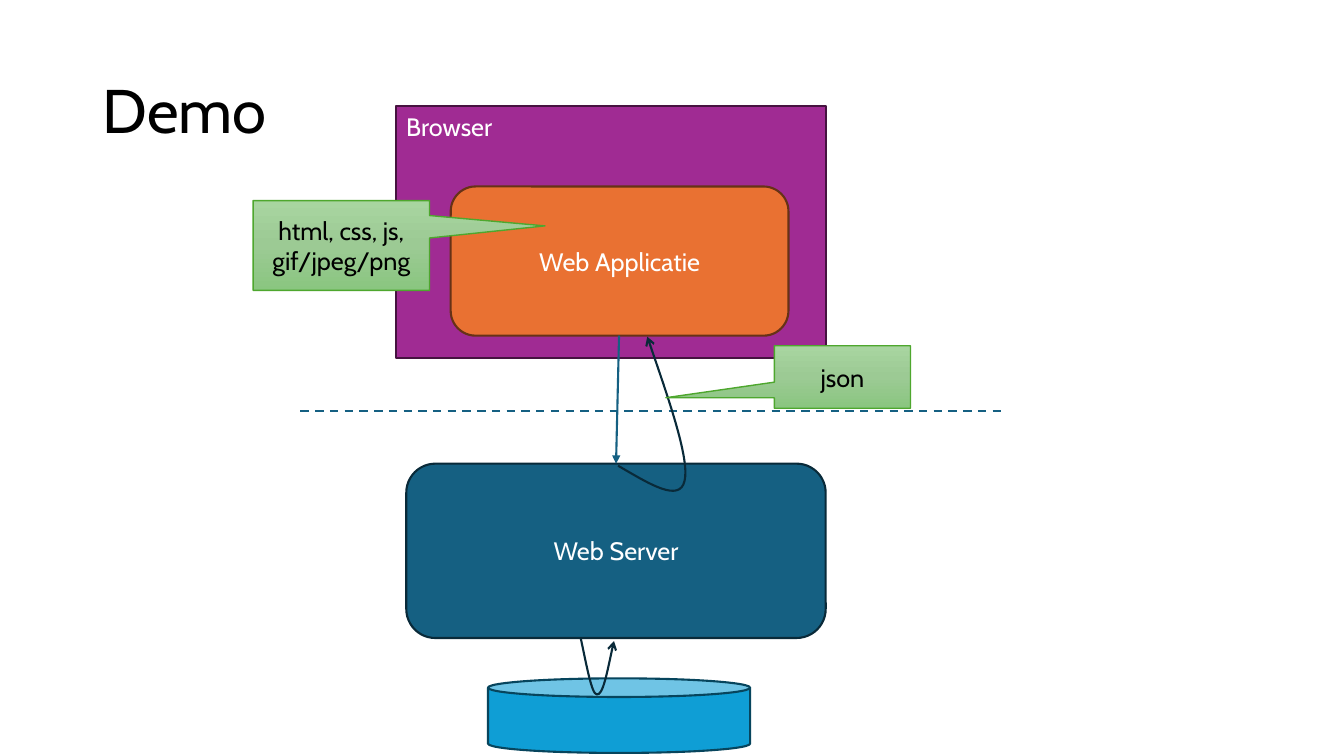
from copy import deepcopy
from dataclasses import dataclass

from lxml.etree import SubElement
from pptx import Presentation
from pptx.dml.color import RGBColor
from pptx.enum.dml import MSO_LINE
from pptx.enum.shapes import MSO_CONNECTOR, MSO_SHAPE as SHAPE
from pptx.enum.text import MSO_ANCHOR as ANCHOR, PP_ALIGN as ALIGN
from pptx.oxml.ns import qn
from pptx.util import Inches, Pt

FONT = "Cabin"
WHITE, BLACK = "FFFFFF", "000000"
TEAL, DARK_TEAL, GREEN = "156082", "092A39", "4EA72E"
CALLOUT_STOPS = [(0, "A8D5A0"), (0.5, "9CCA94"), (1, "8AC680")]

Point = tuple[float, float]
Box = tuple[float, float, float, float]


@dataclass
class Node:
    kind: SHAPE
    box: Box
    fill: str
    outline: str
    text: str = ""


@dataclass
class Callout:
    box: Box
    tip: Point
    text: str


@dataclass
class Link:
    start: Point
    end: Point
    dash: bool = False
    head: str = ""


NODES = [
    Node(SHAPE.RECTANGLE, (3.93, 1.05, 4.26, 2.5), "A02B93", "461340"),
    Node(SHAPE.ROUNDED_RECTANGLE, (4.47, 1.85, 3.35, 1.48), "E97132", "663216", "Web Applicatie"),
    Node(SHAPE.ROUNDED_RECTANGLE, (4.03, 4.6, 4.16, 1.73), TEAL, DARK_TEAL, "Web Server"),
    Node(SHAPE.CAN, (4.84, 6.73, 2.6, 0.74), "0F9ED5", "07455D"),
]
LINKS = [
    Link((2.98, 4.08), (9.99, 4.08), dash=True),
    Link((6.14, 3.33), (6.11, 4.6), head="triangle"),
]
# Each curve: a start point, then three Bézier points per segment
CURVES = [
    [(6.13, 4.62), (6.44, 4.8), (6.74, 4.99), (6.79, 4.77),
     (6.84, 4.56), (6.63, 3.95), (6.42, 3.34)],
    [(5.76, 6.33), (5.82, 6.61), (5.87, 6.89), (5.92, 6.89),
     (5.98, 6.9), (6.03, 6.63), (6.09, 6.36)],
]
CALLOUTS = [
    Callout((2.51, 1.99, 1.75, 0.89), (1.155, -0.218), "html, css, js, gif/jpeg/png"),
    Callout((7.68, 3.43, 1.35, 0.62), (-1.297, 0.332), "json"),
]


def rgb(color: str) -> RGBColor:
    return RGBColor.from_string(color)


def set_line(line, color: str, width: float = 1.5) -> None:
    line.color.rgb = rgb(color)
    line.width = Pt(width)


def add_head(line, kind: str) -> None:
    SubElement(line._get_or_add_ln(), qn("a:tailEnd"), type=kind)


def write(shape, text: str, color: str, size: float = 18,
          align=ALIGN.CENTER, anchor=ANCHOR.MIDDLE, wrap: bool = True):
    frame = shape.text_frame
    frame.word_wrap = wrap
    frame.vertical_anchor = anchor
    frame.text = text
    paragraph = frame.paragraphs[0]
    paragraph.alignment = align
    paragraph.font.name = FONT
    paragraph.font.size = Pt(size)
    paragraph.font.color.rgb = rgb(color)
    return paragraph


def add_node(shapes, node: Node) -> None:
    shape = shapes.add_shape(node.kind, *map(Inches, node.box))
    shape.shadow.inherit = False
    shape.fill.solid()
    shape.fill.fore_color.rgb = rgb(node.fill)
    set_line(shape.line, node.outline)
    if node.text:
        write(shape, node.text, WHITE)


def add_link(shapes, link: Link) -> None:
    connector = shapes.add_connector(
        MSO_CONNECTOR.STRAIGHT, *map(Inches, link.start + link.end))
    set_line(connector.line, TEAL)
    if link.dash:
        connector.line.dash_style = MSO_LINE.DASH
    if link.head:
        add_head(connector.line, link.head)
    SubElement(connector._element.spPr, qn("a:effectLst"))


def add_curve(shapes, points: list[Point]) -> None:
    start, *rest = [(Inches(x), Inches(y)) for x, y in points]
    builder = shapes.build_freeform(*start)
    builder.add_line_segments(rest, close=False)
    curve = builder.convert_to_shape()
    # Turn every three straight segments into one cubic Bézier
    outline = next(curve._element.iter(qn("a:path")))
    segments = outline.findall(qn("a:lnTo"))
    for first in range(0, len(segments), 3):
        bezier = SubElement(outline, qn("a:cubicBezTo"))
        for segment in segments[first:first + 3]:
            bezier.append(segment[0])
            outline.remove(segment)
    curve.shadow.inherit = False
    curve.fill.background()
    set_line(curve.line, DARK_TEAL)
    add_head(curve.line, "arrow")


def add_callout(shapes, callout: Callout) -> None:
    shape = shapes.add_shape(SHAPE.RECTANGULAR_CALLOUT, *map(Inches, callout.box))
    shape.adjustments[0], shape.adjustments[1] = callout.tip
    shape.shadow.inherit = False
    shape.fill.gradient()
    shape.fill.gradient_angle = 270
    stops = next(shape._element.iter(qn("a:gsLst")))
    stops.insert(1, deepcopy(stops[0]))
    for stop, (position, color) in zip(shape.fill.gradient_stops, CALLOUT_STOPS):
        stop.position = position
        stop.color.rgb = rgb(color)
    set_line(shape.line, GREEN, 1)
    write(shape, callout.text, BLACK)


def main() -> None:
    deck = Presentation()
    deck.slide_width, deck.slide_height = Inches(13.33), Inches(7.5)
    shapes = deck.slides.add_slide(deck.slide_layouts[6]).shapes

    # Architecture blocks
    for node in NODES:
        add_node(shapes, node)

    # Title and browser label
    title = shapes.add_textbox(*map(Inches, (0.92, 0.4, 11.5, 1.45)))
    write(title, "Demo", BLACK, 44, ALIGN.LEFT).line_spacing = 0.9
    browser = shapes.add_textbox(*map(Inches, (3.93, 1.06, 1.09, 0.4)))
    write(browser, "Browser", WHITE, align=ALIGN.LEFT, anchor=ANCHOR.TOP, wrap=False)

    # Network boundary, request and responses
    for link in LINKS:
        add_link(shapes, link)
    for points in CURVES:
        add_curve(shapes, points)

    # Content types
    for callout in CALLOUTS:
        add_callout(shapes, callout)

    deck.save("out.pptx")


if __name__ == "__main__":
    main()
